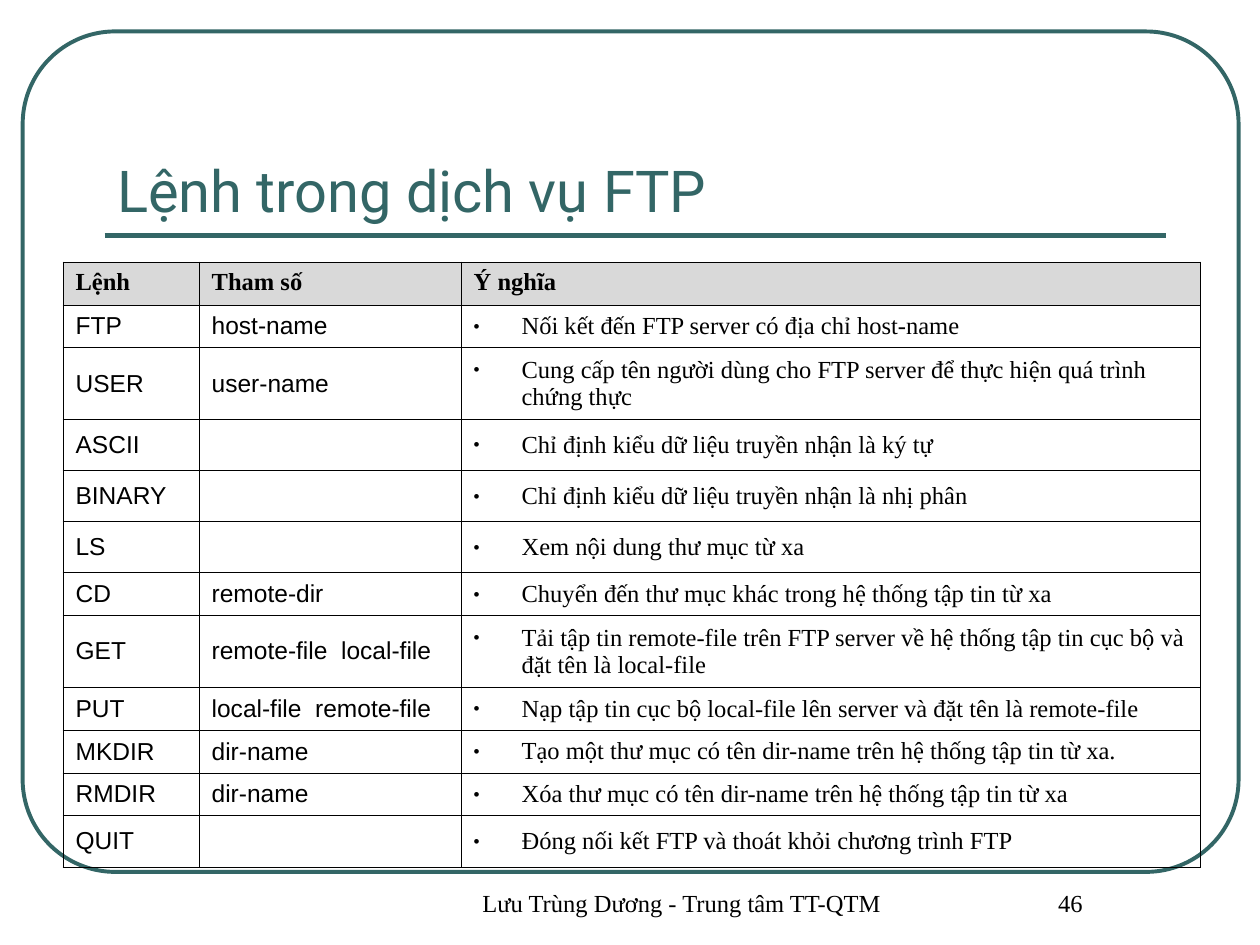
import pptx
import pptx.dml.color
import pptx.enum.shapes
import pptx.enum.text
import pptx.oxml
import pptx.oxml.ns
import pptx.util
from lxml import etree

Inches = pptx.util.Inches
Pt = pptx.util.Pt
qn = pptx.oxml.ns.qn
Align = pptx.enum.text.PP_ALIGN
Anchor = pptx.enum.text.MSO_ANCHOR
Shape = pptx.enum.shapes.MSO_SHAPE

ROWS = [
    ("Lệnh", "Tham số", "Ý nghĩa"),
    ("FTP", "host-name", "Nối kết đến FTP server có địa chỉ host-name"),
    ("USER", "user-name", "Cung cấp tên người dùng cho FTP server để thực hiện quá trình chứng thực"),
    ("ASCII", "", "Chỉ định kiểu dữ liệu truyền nhận là ký tự"),
    ("BINARY", "", "Chỉ định kiểu dữ liệu truyền nhận là nhị phân"),
    ("LS", "", "Xem nội dung thư mục từ xa"),
    ("CD", "remote-dir", "Chuyển đến thư mục khác trong hệ thống tập tin từ xa"),
    ("GET", "remote-file  local-file",
     "Tải tập tin remote-file trên FTP server về hệ thống tập tin cục bộ và đặt tên là local-file"),
    ("PUT", "local-file  remote-file", "Nạp tập tin cục bộ local-file lên server và đặt tên là remote-file"),
    ("MKDIR", "dir-name", "Tạo một thư mục có tên dir-name trên hệ thống tập tin từ xa."),
    ("RMDIR", "dir-name", "Xóa thư mục có tên dir-name trên hệ thống tập tin từ xa"),
    ("QUIT", "", "Đóng nối kết FTP và thoát khỏi chương trình FTP"),
]
WIDTHS = (1.08, 2.08, 5.87)
WRAPPED = ("USER", "GET")


def color(code):
    return pptx.dml.color.RGBColor.from_string(code)


def apply(item, **values):
    for name, value in values.items():
        setattr(item, name, value)


def add(parent, tag, **attrs):
    return etree.SubElement(parent, qn(tag), attrs)


class Deck:
    teal = "336666"
    black = "000000"
    gray = "D9D9D9"
    head = {"name": "Roboto", "size": Pt(33)}
    body = {"name": "Times New Roman", "size": Pt(14)}
    code = {"name": "Arial", "size": Pt(14)}

    def __init__(self):
        self.file = pptx.Presentation()
        apply(self.file, slide_width=Inches(10), slide_height=Inches(7.5))
        self.slide = self.file.slides.add_slide(self.file.slide_layouts[5])
        self.shapes = self.slide.shapes

    def label(self, para, text, style, tone, **more):
        run = para.add_run()
        run.text = text
        apply(run.font, **style, **more)
        run.font.color.rgb = color(tone)

    def indent(self, para, left, first=0):
        props = para._p.get_or_add_pPr()
        props.set("marL", str(Inches(left)))
        props.set("indent", str(Inches(first)))
        return props

    def bullet(self, props):
        add(add(props, "a:buClr"), "a:srgbClr", val=self.black)
        add(props, "a:buSzPct", val="70000")
        add(props, "a:buFont", typeface="Arial")
        add(props, "a:buChar", char="•")

    def frame(self, *box):
        shape = self.shapes.add_shape(Shape.ROUNDED_RECTANGLE, *map(Inches, box))
        shape.adjustments[0] = 0.11
        shape.shadow.inherit = False
        shape.fill.background()
        shape.line.color.rgb = color(self.teal)
        shape.line.width = Pt(2.25)

    def rule(self, *ends):
        line = self.shapes.add_connector(pptx.enum.shapes.MSO_CONNECTOR.STRAIGHT, *map(Inches, ends))
        line.line.color.rgb = color(self.teal)
        line.line.width = Pt(3)
        add(line._element.spPr, "a:effectLst")

    def title(self, text, left, top, width, height):
        shape = self.shapes.title
        apply(shape, left=Inches(left), top=Inches(top), width=Inches(width), height=Inches(height))
        apply(shape.text_frame, vertical_anchor=Anchor.BOTTOM, word_wrap=True,
              auto_size=pptx.enum.text.MSO_AUTO_SIZE.NONE)
        para = shape.text_frame.paragraphs[0]
        para.alignment = Align.LEFT
        self.label(para, text, self.head, self.teal)

    def footer(self, text, *box):
        frame = self.shapes.add_textbox(*map(Inches, box)).text_frame
        frame.word_wrap = True
        para = frame.paragraphs[0]
        para.alignment = Align.CENTER
        self.indent(para, 0.24)
        self.label(para, text, self.body, self.black)

    def border(self, cell):
        props = cell._tc.get_or_add_tcPr()
        for side in "LRTB":
            line = add(props, f"a:ln{side}", w=str(Pt(0.45)))
            add(add(line, "a:solidFill"), "a:srgbClr", val=self.black)

    def cell(self, cell, text, top, last):
        self.border(cell)
        para = cell.text_frame.paragraphs[0]
        if top:
            cell.fill.solid()
            cell.fill.fore_color.rgb = color(self.gray)
            para.alignment = Align.JUSTIFY
        else:
            cell.fill.background()
            cell.vertical_anchor = Anchor.MIDDLE
        if not text:
            return
        props = self.indent(para, 0.38, -0.38)
        if last and not top:
            self.bullet(props)
        self.label(para, text, self.body if top or last else self.code, self.black, bold=top)

    def table(self, rows, widths, left, top):
        heights = [0.57 if row[0] in WRAPPED else 0.34 if row[1] else 0.38 for row in rows]
        box = (left, top, sum(widths), sum(heights))
        grid = self.shapes.add_table(len(rows), len(widths), *map(Inches, box)).table
        apply(grid, first_row=False, horz_banding=False)
        for column, width in zip(grid.columns, widths):
            column.width = Inches(width)
        for r, row in enumerate(rows):
            grid.rows[r].height = Inches(heights[r])
            for c, text in enumerate(row):
                self.cell(grid.cell(r, c), text, r == 0, c == len(row) - 1)


def main():
    deck = Deck()
    deck.frame(0.18, 0.25, 9.65, 6.67)
    deck.rule(0.83, 1.87, 9.25, 1.87)
    deck.title("Lệnh trong dịch vụ FTP", 0.83, 0.58, 8.42, 1.25)
    deck.table(ROWS, WIDTHS, 0.5, 2.08)
    deck.footer("Lưu Trùng Dương - Trung tâm TT-QTM", 3.08, 7, 4.42, 0.5)
    deck.footer("46", 7.5, 7, 1.75, 0.5)
    deck.file.save("out.pptx")


if __name__ == "__main__":
    main()
